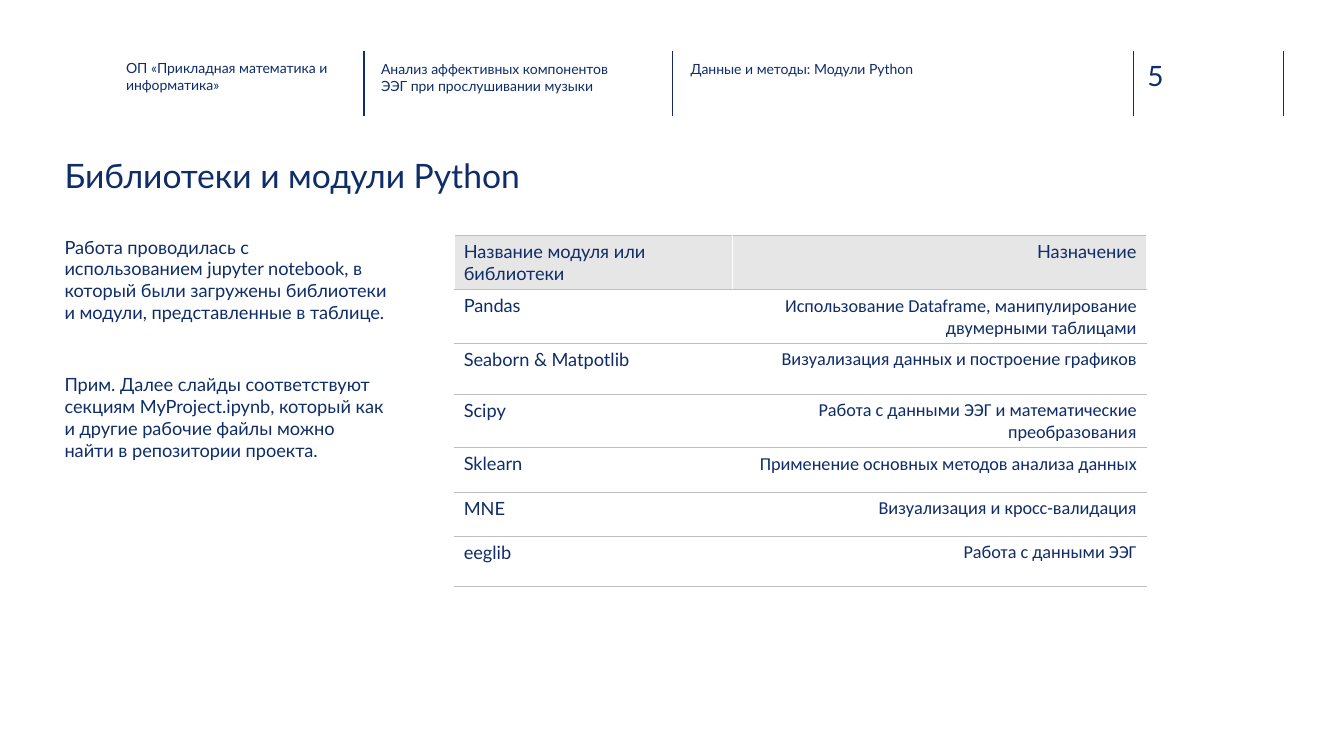
from lxml.etree import SubElement
from pptx import Presentation
from pptx.dml.color import RGBColor
from pptx.enum.shapes import MSO_CONNECTOR
from pptx.enum.text import MSO_ANCHOR, PP_ALIGN
from pptx.oxml.ns import qn
from pptx.util import Inches, Pt

COLORS = {
    "navy": "102D69",
    "ink": "0E2D69",
    "deep": "0F2C68",
    "header": "E7E6E6",
    "rule": "BFBFBF",
    "white": "FFFFFF",
}

HEADING = "Библиотеки и модули Python"
INTRO = [
    "Работа проводилась с использованием jupyter notebook, в который были "
    "загружены библиотеки и модули, представленные в таблице.",
    "Прим. Далее слайды соответствуют секциям MyProject.ipynb, который как "
    "и другие рабочие файлы можно найти в репозитории проекта.",
]

# (left, top, width, height), paragraphs, color, size, format, space before each paragraph
TEXTS = [
    ((11.38, 0.58, 0.73, 0.34), ["5"], "navy", 20, {}, [0]),
    ((1.25, 0.59, 2.08, 0.45), ["ОП «Прикладная математика и информатика»"], "deep", 10, {}, [0]),
    ((3.78, 0.6, 2.26, 0.45), ["Анализ аффективных компонентов ЭЭГ при прослушивании музыки"],
     "ink", 10, {}, [0]),
    ((6.85, 0.6, 2.26, 0.45), ["Данные и методы: Модули Python"], "ink", 10, {}, [0]),
    ((0.64, 1.58, 8.33, 0.59), [HEADING], "ink", 24, {"line_spacing": 0.9}, [10]),
    ((0.64, 2.34, 3.21, 2.81), INTRO, "ink", 13, {}, [10, 36]),
]

DIVIDERS_X = [3.61, 6.67, 11.24, 12.73]
DIVIDER_TOP, DIVIDER_BOTTOM = 0.51, 1.15

MODULES = [
    ("Название модуля или библиотеки", "Назначение"),
    ("Pandas", "Использование Dataframe, манипулирование двумерными таблицами"),
    ("Seaborn & Matpotlib", "Визуализация данных и построение графиков"),
    ("Scipy", "Работа с данными ЭЭГ и математические преобразования"),
    ("Sklearn", "Применение основных методов анализа данных"),
    ("MNE", "Визуализация и кросс-валидация"),
    ("eeglib", "Работа с данными ЭЭГ"),
]
TABLE_LEFT, TABLE_TOP = 4.5, 2.34
COLUMN_WIDTHS = [2.76, 4.11]
ROW_HEIGHTS = [0.44, 0.5, 0.5, 0.44, 0.44, 0.44, 0.5]
COLUMN_STYLES = [("Lato", "deep", PP_ALIGN.LEFT), ("Calibri", "navy", PP_ALIGN.RIGHT)]
BORDERS = {"lnL": ("white", 0.25), "lnR": ("white", 0.25),
           "lnT": ("rule", 0.75), "lnB": ("rule", 0.75)}


def rgb(name):
    return RGBColor.from_string(COLORS[name])


def write(paragraph, text, font, color, size, **formats):
    run = paragraph.add_run()
    run.text = text
    run.font.name, run.font.size = font, Pt(size)
    run.font.color.rgb = rgb(color)
    for attribute, value in formats.items():
        setattr(paragraph, attribute, value)


def add_text(slide, box, paragraphs, color, size, formats, gaps):
    frame = slide.shapes.add_textbox(*map(Inches, box)).text_frame
    frame_format = {"word_wrap": True, "vertical_anchor": MSO_ANCHOR.TOP, "margin_left": 0,
                    "margin_top": 0, "margin_right": 0, "margin_bottom": 0}
    for attribute, value in frame_format.items():
        setattr(frame, attribute, value)
    for index, (text, gap) in enumerate(zip(paragraphs, gaps)):
        paragraph = frame.add_paragraph() if index else frame.paragraphs[0]
        write(paragraph, text, "Lato", color, size, space_before=Pt(gap), **formats)


def add_divider(slide, x):
    divider = slide.shapes.add_connector(
        MSO_CONNECTOR.STRAIGHT, Inches(x), Inches(DIVIDER_TOP), Inches(x), Inches(DIVIDER_BOTTOM))
    divider.line.color.rgb = rgb("navy")
    divider.line.width = Pt(1)
    SubElement(divider._element.spPr, qn("a:effectLst"))


def set_borders(cell):
    """Put the border lines ahead of the cell fill, as the schema orders them."""
    properties = cell._tc.get_or_add_tcPr()
    for position, (side, (color, width)) in enumerate(BORDERS.items()):
        border = SubElement(properties, qn(f"a:{side}"), w=str(Pt(width)))
        fill = SubElement(border, qn("a:solidFill"))
        SubElement(fill, qn("a:srgbClr"), val=COLORS[color])
        properties.insert(position, border)


def add_modules_table(slide):
    table = slide.shapes.add_table(
        len(MODULES), len(COLUMN_WIDTHS), Inches(TABLE_LEFT), Inches(TABLE_TOP),
        Inches(sum(COLUMN_WIDTHS)), Inches(sum(ROW_HEIGHTS))).table
    table.first_row = table.horz_banding = False
    for column, width in zip(table.columns, COLUMN_WIDTHS):
        column.width = Inches(width)
    for row_index, (row, height, entries) in enumerate(zip(table.rows, ROW_HEIGHTS, MODULES)):
        row.height = Inches(height)
        for cell, text, (font, color, alignment) in zip(row.cells, entries, COLUMN_STYLES):
            if row_index == 0:
                font, color = "Lato", "navy"
                cell.fill.solid()
                cell.fill.fore_color.rgb = rgb("header")
            else:
                cell.fill.background()
            write(cell.text_frame.paragraphs[0], text, font, color, 13, alignment=alignment)
            set_borders(cell)


def main():
    deck = Presentation()
    deck.slide_width, deck.slide_height = Inches(13.33), Inches(7.5)
    slide = deck.slides.add_slide(deck.slide_layouts[6])
    for x in DIVIDERS_X:
        add_divider(slide, x)
    for entry in TEXTS:
        add_text(slide, *entry)
    add_modules_table(slide)
    deck.save("out.pptx")


if __name__ == "__main__":
    main()
